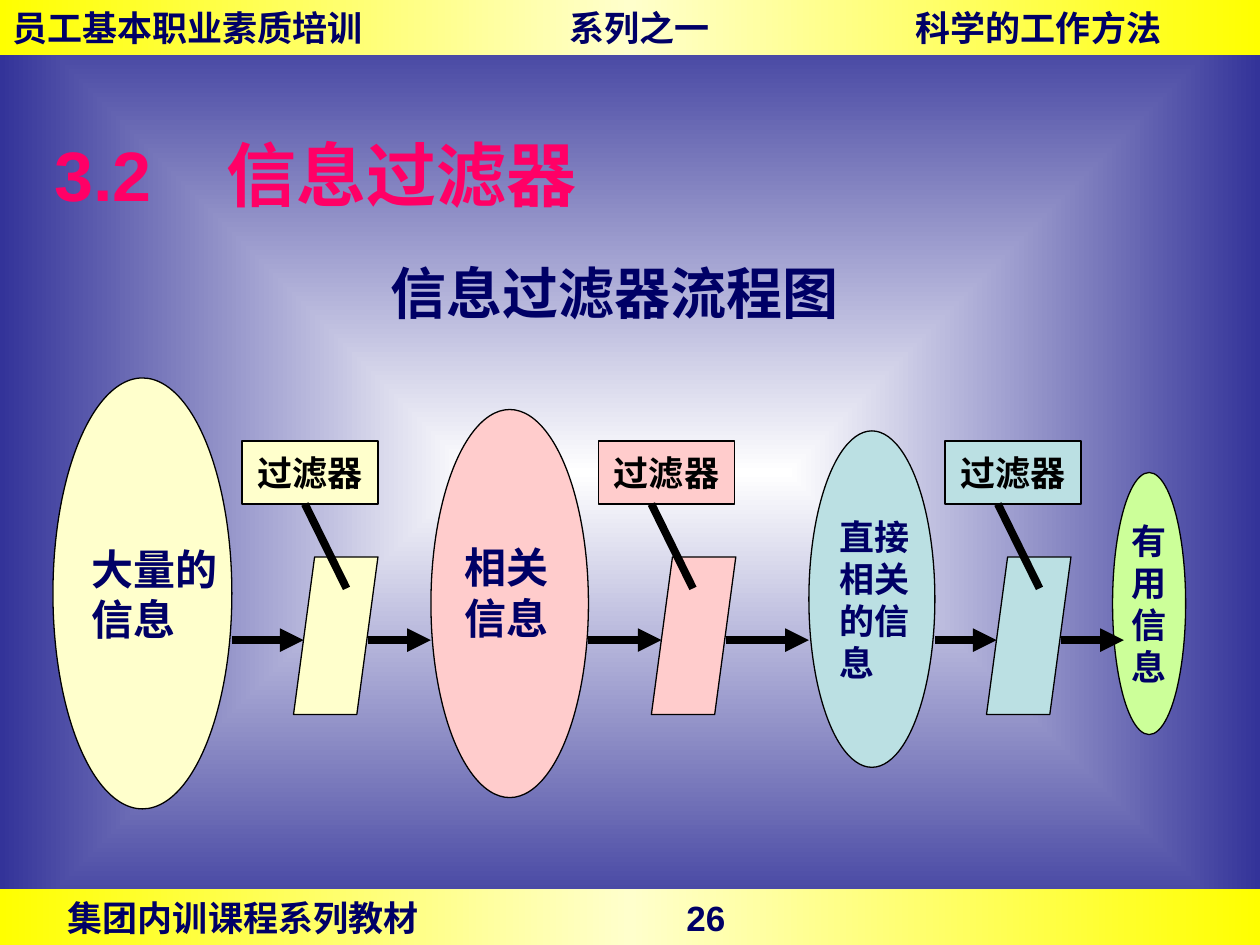
from dataclasses import dataclass
from itertools import pairwise
from typing import NamedTuple

from pptx import Presentation
from pptx.dml.color import RGBColor
from pptx.enum.shapes import MSO_CONNECTOR as Connector, MSO_SHAPE as Shape
from pptx.enum.text import MSO_ANCHOR as Anchor, MSO_AUTO_SIZE as AutoSize, PP_ALIGN as Align
from pptx.oxml import parse_xml
from pptx.oxml.ns import nsdecls, qn
from pptx.util import Inches, Pt


@dataclass(frozen=True)
class Theme:
    font: str = "Arial"
    navy: str = "000066"
    pink: str = "FF0066"
    black: str = "000000"
    cream: str = "FFFFCC"
    rose: str = "FFCCCC"
    aqua: str = "BBE0E3"
    lime: str = "CCFF99"
    backdrop: tuple = ("FFFFFF", "333399")
    band: tuple = ("FFFF00", "FFFFCC", "FFFF00")
    title: int = 40
    heading: int = 32
    large: int = 24
    small: int = 20
    outline: float = 0.75
    arrow: float = 4.5


THEME = Theme()
CENTRE_PATH = '<a:path path="rect"><a:fillToRect l="50000" t="50000" r="50000" b="50000"/></a:path>'
LEFTWARD = '<a:lin ang="10800000" scaled="0"/>'
FLOW_Y = 5.08
GATE_TOP, GATE_WIDTH, GATE_HEIGHT = 4.42, 0.67, 1.25
SLANT = 0.08  # distance from a gate's corner to its slanted side at arrow height


class Stage(NamedTuple):
    left: float
    top: float
    width: float
    height: float
    color: str
    text: str
    size: int = THEME.small
    align: Align = Align.LEFT
    reach: float = 0  # how far the incoming arrow enters the ellipse


class Filter(NamedTuple):
    label_left: float
    pointer_left: float
    gate_left: float


STAGES = [
    Stage(0.42, 3, 1.42, 3.42, THEME.cream, "大量的\n信息", THEME.large),
    Stage(3.42, 3.25, 1.25, 3.08, THEME.rose, ""),
    Stage(6.42, 3.42, 1, 2.67, THEME.aqua, "直接\n相关\n的信\n息"),
    Stage(8.83, 3.75, 0.58, 2.08, THEME.lime, "有\n用\n信\n息", align=Align.CENTER, reach=0.09),
]
FILTERS = [Filter(1.92, 2.42, 2.33), Filter(4.75, 5.17, 5.17), Filter(7.5, 7.92, 7.83)]


def write_text(shape, text, *, size=THEME.small, color=THEME.navy, align=Align.LEFT,
               anchor=Anchor.MIDDLE, wrap=False, tabs=()):
    """Fill a shape with bold text: one paragraph a line, tab stops in inches."""
    frame = shape.text_frame
    frame.auto_size = AutoSize.NONE
    frame.word_wrap = wrap
    frame.vertical_anchor = anchor
    for index, line in enumerate(text.split("\n")):
        para = frame.add_paragraph() if index else frame.paragraphs[0]
        para.alignment = align
        if tabs:
            stops = "".join(f'<a:tab pos="{Inches(stop)}" algn="l"/>' for stop in tabs)
            para._p.get_or_add_pPr().append(
                parse_xml(f'<a:tabLst {nsdecls("a")}>{stops}</a:tabLst>'))
        span = para.add_run()
        span.text = line
        span.font.name = THEME.font
        span.font.size = Pt(size)
        span.font.bold = True
        span.font.color.rgb = RGBColor.from_string(color)


def set_gradient(fill, element, colors, direction):
    """Give evenly spaced colours to the gradient inside an element."""
    fill.gradient()
    old = next(element.iter(qn("a:gradFill")))
    step = 100000 // (len(colors) - 1)
    stops = "".join(f'<a:gs pos="{i * step}"><a:srgbClr val="{color}"/></a:gs>'
                    for i, color in enumerate(colors))
    new = parse_xml(f'<a:gradFill {nsdecls("a")} rotWithShape="1">'
                    f'<a:gsLst>{stops}</a:gsLst>{direction}</a:gradFill>')
    old.getparent().replace(old, new)


def place(shape, left, top, width, height):
    shape.left, shape.top = Inches(left), Inches(top)
    shape.width, shape.height = Inches(width), Inches(height)


def add_band(page, top, text, tabs):
    band = page.shapes.add_shape(Shape.RECTANGLE, 0, Inches(top), Inches(10), Inches(0.44))
    band.shadow.inherit = False
    band.line.fill.background()
    set_gradient(band.fill, band.element, THEME.band, LEFTWARD)
    write_text(band, text, wrap=True, tabs=tabs)


def add_outlined(page, kind, left, top, width, height, color):
    shape = page.shapes.add_shape(kind, *map(Inches, (left, top, width, height)))
    shape.shadow.inherit = False
    shape.fill.solid()
    shape.fill.fore_color.rgb = RGBColor.from_string(color)
    shape.line.color.rgb = RGBColor.from_string(THEME.black)
    shape.line.width = Pt(THEME.outline)
    return shape


def add_label(page, left, top, width, height, text, **style):
    box = page.shapes.add_textbox(*map(Inches, (left, top, width, height)))
    write_text(box, text, anchor=Anchor.TOP, **style)


def add_line(page, start, end, arrow=False):
    line = page.shapes.add_connector(Connector.STRAIGHT, *map(Inches, start + end))
    line.line.color.rgb = RGBColor.from_string(THEME.black)
    line.line.width = Pt(THEME.arrow)
    if arrow:
        line.line._get_or_add_ln().append(
            parse_xml(f'<a:tailEnd {nsdecls("a")} type="triangle"/>'))
    line.element.spPr.append(parse_xml(f'<a:effectLst {nsdecls("a")}/>'))


def add_stage(page, stage):
    ellipse = add_outlined(page, Shape.OVAL, *stage[:4], stage.color)
    if stage.text:
        write_text(ellipse, stage.text, size=stage.size, align=stage.align)


def add_filter(page, part, source, target):
    """Draw a labelled gate and the arrows that lead through it."""
    gate = add_outlined(page, Shape.PARALLELOGRAM, part.gate_left, GATE_TOP,
                        GATE_WIDTH, GATE_HEIGHT, source.color)
    gate.adjustments[0] = 0.25
    label = add_outlined(page, Shape.RECTANGLE, part.label_left, 3.5, 1.08, 0.5, source.color)
    write_text(label, "过滤器", color=THEME.black, align=Align.CENTER)
    add_line(page, (part.pointer_left, 4), (part.pointer_left + 0.33, 4.67))
    add_line(page, (source.left + source.width, FLOW_Y),
             (part.gate_left + SLANT, FLOW_Y), arrow=True)
    add_line(page, (part.gate_left + GATE_WIDTH - SLANT, FLOW_Y),
             (target.left + target.reach, FLOW_Y), arrow=True)


def main():
    deck = Presentation()
    deck.slide_width, deck.slide_height = Inches(10), Inches(7.5)
    page = deck.slides.add_slide(deck.slide_layouts[5])
    set_gradient(page.background.fill, page.element, THEME.backdrop, CENTRE_PATH)

    add_band(page, 7.06, "\t集团内训课程系列教材\t26", (0.44, 5.35))
    add_band(page, 0, "员工基本职业素质培训\t系列之一\t科学的工作方法", (4.42, 7.17))
    title = page.shapes.title
    place(title, 0.33, 1, 7.25, 0.75)
    write_text(title, "3.2\t信息过滤器", size=THEME.title, color=THEME.pink,
               wrap=True, tabs=(1.37,))
    add_label(page, 3, 2, 4, 0.64, "信息过滤器流程图", size=THEME.heading, wrap=True)

    for stage in STAGES:
        add_stage(page, stage)
    add_label(page, 3.59, 4.25, 0.86, 0.9, "相关\n信息", size=THEME.large)
    for part, (source, target) in zip(FILTERS, pairwise(STAGES)):
        add_filter(page, part, source, target)

    deck.save("out.pptx")


if __name__ == "__main__":
    main()
